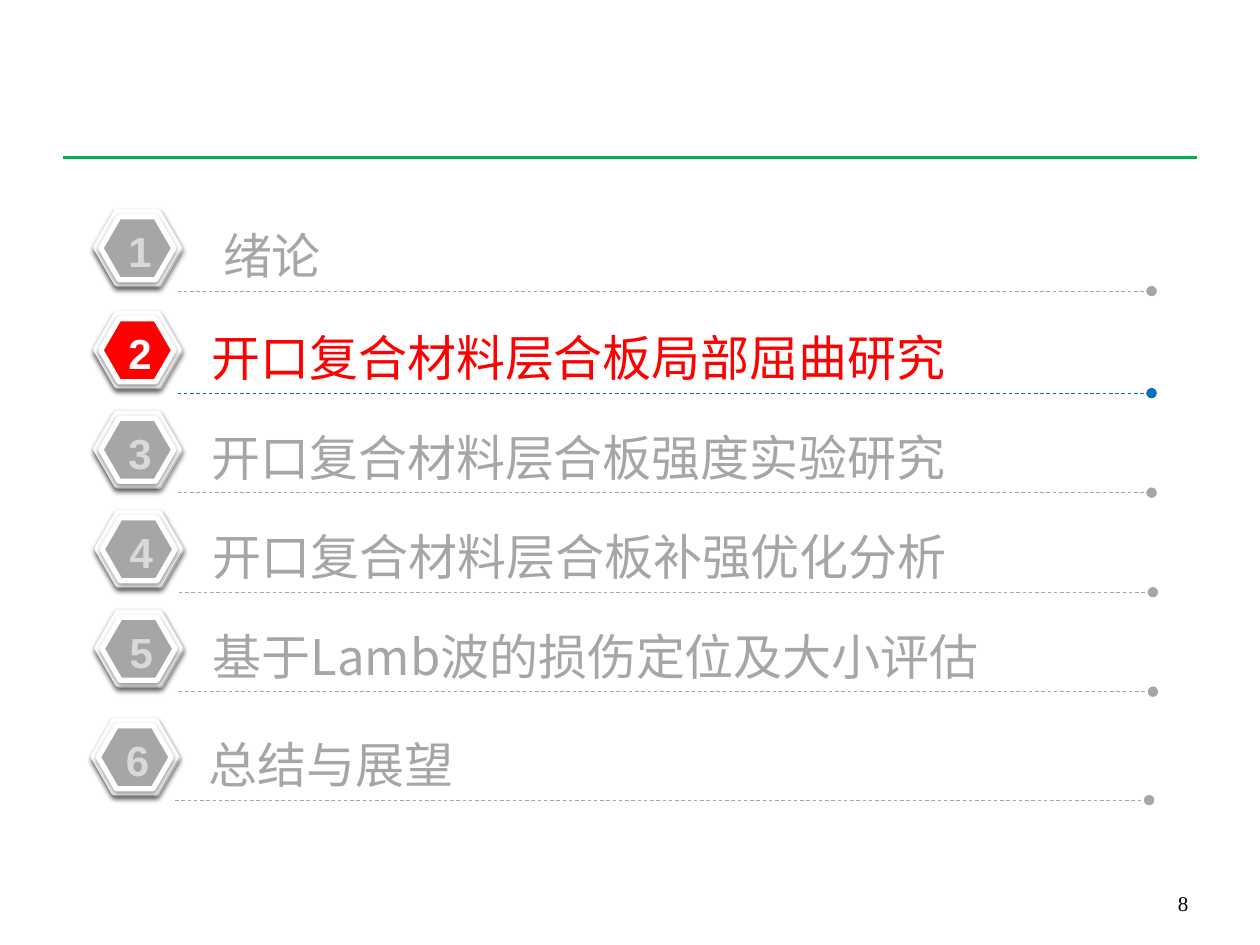
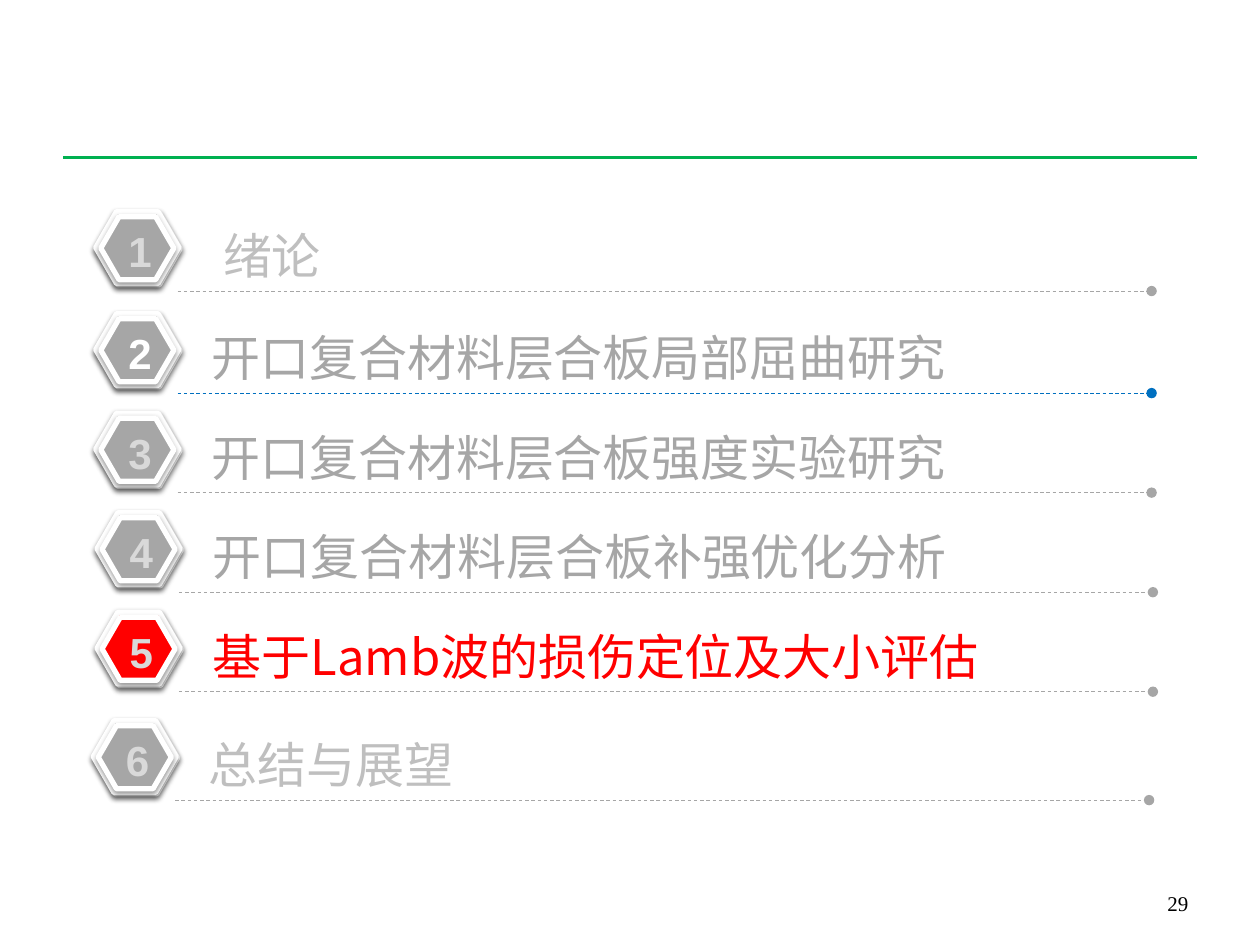
from dataclasses import dataclass

from lxml.etree import SubElement
from pptx import Presentation
from pptx.dml.color import RGBColor
from pptx.enum.dml import MSO_LINE_DASH_STYLE as Dash
from pptx.enum.shapes import MSO_CONNECTOR as Link, MSO_SHAPE as Kind
from pptx.enum.text import MSO_ANCHOR as Anchor, MSO_AUTO_SIZE as Fit, PP_ALIGN as Align
from pptx.oxml.ns import qn
from pptx.util import Emu, Pt

SCALE = 9144  # EMU in one px, 100 px to the inch
WIDE, HIGH = 1000, 750

GREEN = RGBColor(0x00, 0xB0, 0x50)
BLUE = RGBColor(0x00, 0x70, 0xC0)
RED = RGBColor(0xFF, 0x00, 0x00)
GREY = RGBColor(0xA6, 0xA6, 0xA6)
FAINT = RGBColor(0xBF, 0xBF, 0xBF)
PALE = RGBColor(0xD9, 0xD9, 0xD9)
WHITE = RGBColor(0xFF, 0xFF, 0xFF)
BLACK = RGBColor(0x00, 0x00, 0x00)

HAN, SANS, SERIF = "Noto Sans CJK SC", "Arial", "Times New Roman"


@dataclass(frozen=True)
class Topic:
    label: str
    top: int
    shift: int = 0
    indent: int = 0
    digit: RGBColor = PALE
    rule: RGBColor = GREY


@dataclass(frozen=True)
class Page:
    number: int
    active: int
    faint: tuple[int, ...] = ()


TOPICS = (
    Topic("绪论", 169, indent=9),
    Topic("开口复合材料层合板局部屈曲研究", 250, digit=WHITE, rule=BLUE),
    Topic("开口复合材料层合板强度实验研究", 329),
    Topic("开口复合材料层合板补强优化分析", 408, shift=1),
    Topic("基于Lamb波的损伤定位及大小评估", 487, shift=1),
    Topic("总结与展望", 573, shift=-2),
)
PAGES = (Page(8, active=2), Page(29, active=5, faint=(1, 6)))

# Hexagon layers: offset from the topic's corner, then size
LAYERS = ((77, 0, 66, 57), (76, -1, 66, 57), (80, 3, 58, 50))


def px(*values: int) -> list[Emu]:
    return [Emu(value * SCALE) for value in values]


def add_text(slide, text: str, box: tuple, *, font: str, size: int, color: RGBColor,
             bold: bool = False, align=Align.LEFT, anchor=Anchor.TOP,
             wrap: bool = True, fit=Fit.NONE, indent: int = 0) -> None:
    frame = slide.shapes.add_textbox(*px(*box)).text_frame
    frame.word_wrap, frame.auto_size = wrap, fit
    frame.vertical_anchor = anchor
    frame.margin_left += indent * SCALE
    para = frame.paragraphs[0]
    para.alignment = align
    run = para.add_run()
    run.text = text
    run.font.name, run.font.size, run.font.bold = font, Pt(size), bold
    run.font.color.rgb = color
    SubElement(run._r.get_or_add_rPr(), qn("a:ea"), typeface=font)


def add_rule(slide, left: int, right: int, y: int, color: RGBColor, width: float,
             dotted: bool = False):
    """Draw a level line; a dotted one is dashed and ends in a dot."""
    rule = slide.shapes.add_connector(Link.STRAIGHT, *px(left, y, right, y))
    rule.line.color.rgb, rule.line.width = color, Pt(width)
    if dotted:
        rule.line.dash_style = Dash.DASH
        SubElement(rule.line._get_or_add_ln(), qn("a:tailEnd"), type="oval")
    SubElement(rule.element.spPr, qn("a:effectLst"))
    return rule


def add_shade(shape) -> None:
    """Give a shape a soft shadow straight below it."""
    effects = SubElement(shape.element.spPr, qn("a:effectLst"))
    shade = SubElement(effects, qn("a:outerShdw"), blurRad=str(Pt(3.1)),
                       dist=str(Pt(1.6)), dir="5400000", algn="t", rotWithShape="0")
    tint = SubElement(shade, qn("a:srgbClr"), val=str(BLACK))
    SubElement(tint, qn("a:alpha"), val="38000")


def add_badge(slide, left: int, top: int, color: RGBColor) -> None:
    group = slide.shapes.add_group_shape()
    for x, y, width, height in LAYERS:
        layer = group.shapes.add_shape(Kind.HEXAGON, *px(left + x, top + y, width, height))
        layer.adjustments[0], layer.adjustments[1] = 0.289, 1.155
        layer.fill.solid()
        layer.fill.fore_color.rgb = color
        layer.line.color.rgb, layer.line.width = WHITE, Pt(3)
        add_shade(layer)


def add_topic(slide, index: int, topic: Topic, page: Page) -> None:
    x, y = topic.shift, topic.top
    active = index == page.active
    tone = RED if active else FAINT if index in page.faint else GREY
    add_badge(slide, x, y, RED if active else GREY)
    add_text(slide, topic.label, (158 + x, y + 5, 778, 57), font=HAN, size=28,
             color=tone, fit=Fit.SHAPE_TO_FIT_TEXT, indent=topic.indent)
    add_text(slide, str(index), (92 + x, y + 5, 35, 50), font=SANS, size=24, bold=True,
             color=topic.digit, align=Align.CENTER, wrap=False, fit=Fit.SHAPE_TO_FIT_TEXT)
    add_rule(slide, 141 + x, 914 + x, y + 62, topic.rule, 0.5, dotted=True)


def main() -> None:
    deck = Presentation()
    deck.slide_width, deck.slide_height = px(WIDE, HIGH)
    blank = deck.slide_layouts[6]
    for page in PAGES:
        slide = deck.slides.add_slide(blank)
        if page is PAGES[0]:  # the band moves to the layout, which all slides share
            band = add_rule(slide, 50, 950, 125, GREEN, 2.25)
            blank.shapes.element.append(band.element)
        add_text(slide, str(page.number), (720, 682, 233, 50), font=SERIF, size=12,
                 color=BLACK, align=Align.RIGHT, anchor=Anchor.BOTTOM)
        for index, topic in enumerate(TOPICS, 1):
            add_topic(slide, index, topic, page)
    deck.save("out.pptx")


if __name__ == "__main__":
    main()
